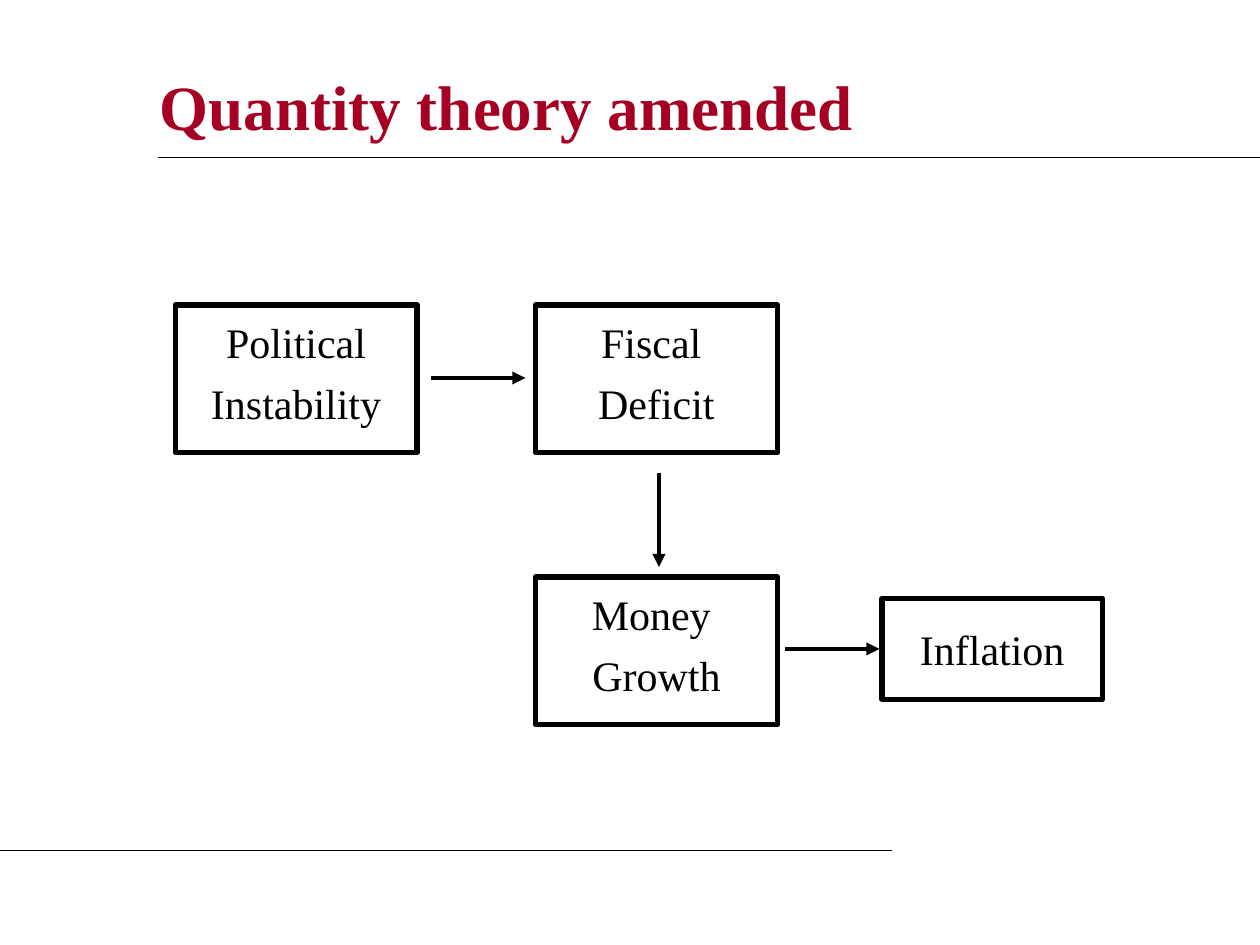
from lxml import etree
from pptx import Presentation
from pptx.dml.color import RGBColor
from pptx.enum.shapes import MSO_CONNECTOR, MSO_SHAPE
from pptx.enum.text import MSO_ANCHOR, PP_ALIGN
from pptx.oxml.ns import qn
from pptx.util import Inches, Pt

STRAIGHT = MSO_CONNECTOR.STRAIGHT
RECTANGLE = MSO_SHAPE.RECTANGLE
TOP, MIDDLE = MSO_ANCHOR.TOP, MSO_ANCHOR.MIDDLE
CENTER = PP_ALIGN.CENTER
FONT = "Times New Roman"
COLORS = {"title": "A50021", "ink": "000000"}


def format_font(font, size, color, bold=False):
    font.name = FONT
    font.size = Pt(size)
    font.bold = bold
    font.color.rgb = RGBColor.from_string(COLORS[color])


def add_line(start, end, width, arrow=False):
    line = slide.shapes.add_connector(
        STRAIGHT, *[Inches(value) for value in (*start, *end)])
    line.line.color.rgb = RGBColor.from_string(COLORS["ink"])
    line.line.width = Pt(width)
    if arrow:
        outline = line.line._get_or_add_ln()
        etree.SubElement(outline, qn("a:tailEnd"), type="triangle")
    etree.SubElement(line._element.spPr, qn("a:effectLst"))


presentation = Presentation()
presentation.slide_width = Inches(10)
presentation.slide_height = Inches(7.5)
slide = presentation.slides.add_slide(presentation.slide_layouts[6])

# Title
title = slide.shapes.add_textbox(
    Inches(1.17), Inches(0.42), Inches(8.08), Inches(0.83))
title.text_frame.word_wrap = True
title.text_frame.vertical_anchor = MIDDLE
title.text_frame.text = "Quantity theory amended"
format_font(title.text_frame.paragraphs[0].runs[0].font, 36, "title", bold=True)

# Rules above and below the diagram
add_line((1.25, 1.25), (10, 1.25), 0.75)
add_line((0, 6.75), (7.08, 6.75), 0.75)

# Boxes: text, left, top, width, height, line spacing
boxes = [
    ("Political\nInstability", 1.39, 2.42, 1.92, 1.17, 0.7),
    ("Fiscal \nDeficit", 4.25, 2.42, 1.92, 1.17, 0.7),
    ("Money \nGrowth", 4.25, 4.58, 1.92, 1.17, 0.7),
    ("Inflation", 7, 4.75, 1.75, 0.8, 1.0),
]
for text, left, top, width, height, spacing in boxes:
    box = slide.shapes.add_shape(
        RECTANGLE, Inches(left), Inches(top), Inches(width), Inches(height))
    box.shadow.inherit = False
    box.fill.background()
    box.line.color.rgb = RGBColor.from_string(COLORS["ink"])
    box.line.width = Pt(3)
    frame = box.text_frame
    frame.word_wrap = True
    frame.vertical_anchor = TOP
    frame.margin_left = frame.margin_right = Inches(0.2)
    frame.margin_top = frame.margin_bottom = Inches(0.2)
    frame.text = text
    for index, paragraph in enumerate(frame.paragraphs):
        paragraph.alignment = CENTER
        paragraph.line_spacing = spacing
        paragraph.space_before = Pt(15 if index else 0)
        format_font(paragraph.runs[0].font, 24, "ink")

# Arrows from cause to effect
for start, end in [
    ((3.42, 3), (4.17, 3)),
    ((5.23, 3.75), (5.23, 4.5)),
    ((6.23, 5.15), (6.98, 5.15)),
]:
    add_line(start, end, 2.5, arrow=True)

presentation.save("out.pptx")
